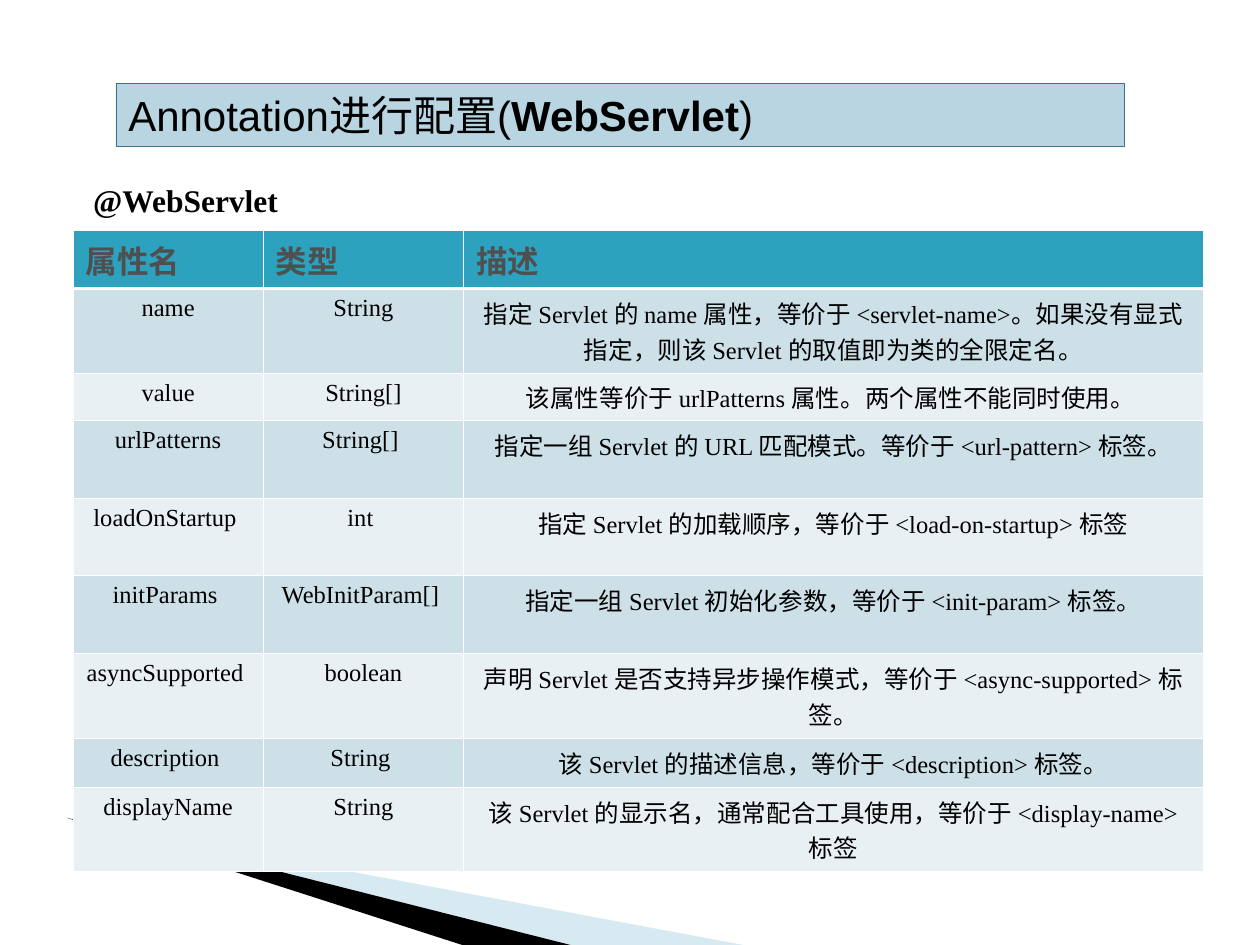
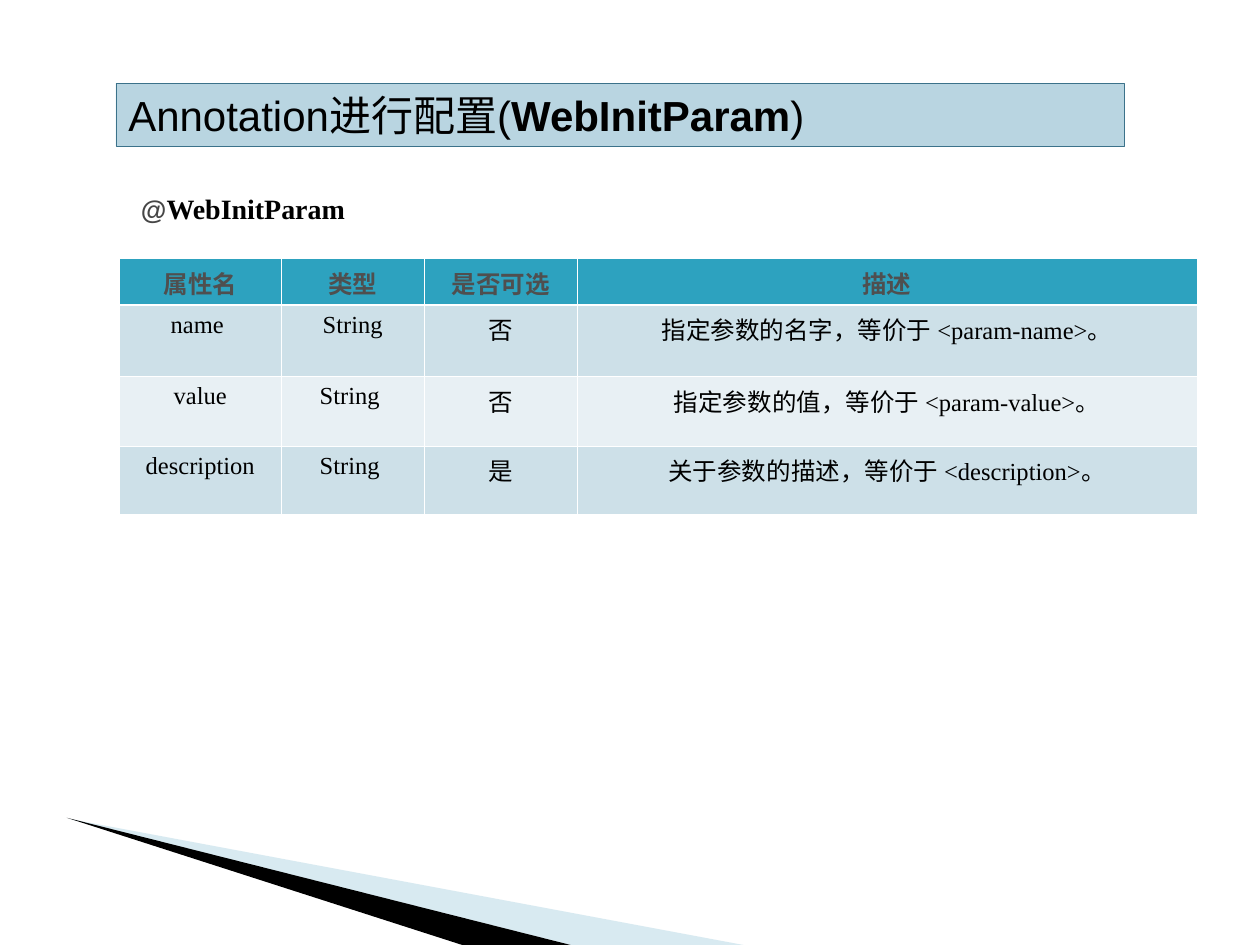
"""Two slides that list the attributes of the WebServlet and WebInitParam annotations."""
from lxml import etree
from pptx import Presentation
from pptx.dml.color import RGBColor
from pptx.enum.shapes import MSO_SHAPE
from pptx.enum.text import MSO_ANCHOR, PP_ALIGN
from pptx.oxml.ns import qn
from pptx.util import Inches, Pt

RECT = MSO_SHAPE.RECTANGLE
MIDDLE = MSO_ANCHOR.MIDDLE
LEFT, CENTER = PP_ALIGN.LEFT, PP_ALIGN.CENTER

BLACK = RGBColor(0x00, 0x00, 0x00)
WHITE = RGBColor(0xFF, 0xFF, 0xFF)
GREY = RGBColor(0x46, 0x46, 0x46)
HEAD_INK = RGBColor(0x4F, 0x4F, 0x4F)
HEAD = RGBColor(0x2D, 0xA2, 0xBF)
BANDS = [RGBColor(0xE8, 0xF0, 0xF4), RGBColor(0xCD, 0xE0, 0xE8)]
TITLE = RGBColor(0xB9, 0xD5, 0xE1)
EDGE = RGBColor(0x3B, 0x72, 0x8A)
PALE = RGBColor(0x9F, 0xCB, 0xDC)
SANS, SERIF = "Arial", "Times New Roman"

WEDGES = [
    (PALE, 40, [(0.55, 6.5), (5.9, 7.5), (4.53, 7.5)]),
    (BLACK, 100, [(0.53, 6.49), (4.53, 7.5), (3.67, 7.5)]),
]

PAGES = [
    {
        "name": "WebServlet",
        "label": (0.64, 1.42, 8.19, 0.39),
        "runs": [("@WebServlet", {"size": 18})],
        "place": (0.58, 1.83),
        "cols": [1.51, 1.59, 5.87],
        "heights": [0.46, 0.67, 0.38, 0.62, 0.61, 0.62, 0.67, 0.39, 0.67],
        "head": {"size": 18, "align": LEFT},
        "rows": [
            ("属性名", "类型", "描述"),
            ("name", "String",
             "指定 Servlet 的 name 属性，等价于 <servlet-name>。如果没有显式指定，则该 Servlet 的取值即为类的全限定名。"),
            ("value", "String[]", "该属性等价于 urlPatterns 属性。两个属性不能同时使用。 "),
            ("urlPatterns", "String[] ", "指定一组 Servlet 的 URL 匹配模式。等价于 <url-pattern> 标签。"),
            ("loadOnStartup ", "int ", "指定 Servlet 的加载顺序，等价于 <load-on-startup> 标签"),
            ("initParams ", "WebInitParam[] ", "指定一组 Servlet 初始化参数，等价于 <init-param> 标签。"),
            ("asyncSupported ", "boolean", "声明 Servlet 是否支持异步操作模式，等价于 <async-supported> 标签。"),
            ("description ", "String ", "该 Servlet 的描述信息，等价于 <description> 标签。"),
            ("displayName", "String", "该 Servlet 的显示名，通常配合工具使用，等价于 <display-name> 标签"),
        ],
    },
    {
        "name": "WebInitParam",
        "label": (1.02, 1.5, 2.01, 0.36),
        "runs": [("@", {"size": 15, "font": SANS, "color": GREY}), ("WebInitParam", {"size": 16})],
        "place": (0.95, 2.05),
        "cols": [1.28, 1.14, 1.21, 4.92],
        "heights": [0.37, 0.57, 0.55, 0.54],
        "head": {"size": 14, "align": CENTER},
        "rows": [
            ("属性名", "类型", "是否可选", "描述"),
            ("name ", "String", "否", "指定参数的名字，等价于 <param-name>。"),
            ("value", "String ", "否", "指定参数的值，等价于 <param-value>。"),
            ("description", "String ", "是", "关于参数的描述，等价于 <description>。"),
        ],
    },
]


def write(frame, text, size=14, font=SERIF, color=BLACK, bold=False, align=LEFT):
    para = frame.paragraphs[0]
    para.alignment = align
    run = para.add_run()
    run.text = text
    run.font.size = Pt(size)
    run.font.name = font
    run.font.bold = bold
    run.font.color.rgb = color


def border(cell, side, width):
    line = etree.SubElement(cell._tc.get_or_add_tcPr(), qn(f"a:ln{side}"), w=str(Pt(width)))
    fill = etree.SubElement(line, qn("a:solidFill"))
    etree.SubElement(fill, qn("a:srgbClr"), val=str(WHITE))


deck = Presentation()
deck.slide_width, deck.slide_height = Inches(10), Inches(7.5)

for page in PAGES:
    slide = deck.slides.add_slide(deck.slide_layouts[6])
    shapes = slide.shapes

    for color, alpha, points in WEDGES:
        spots = [(Inches(x), Inches(y)) for x, y in points]
        pen = shapes.build_freeform(*spots[0])
        pen.add_line_segments(spots[1:], close=True)
        wedge = pen.convert_to_shape()
        wedge.shadow.inherit = False
        wedge.line.fill.background()
        wedge.fill.solid()
        wedge.fill.fore_color.rgb = color
        if alpha < 100:
            tint = wedge._element.spPr.find(qn("a:solidFill"))[0]
            etree.SubElement(tint, qn("a:alpha"), val=str(alpha * 1000))

    label = shapes.add_textbox(*map(Inches, page["label"])).text_frame
    label.word_wrap = True
    label.paragraphs[0].line_spacing = 0.9
    for text, style in page["runs"]:
        write(label, text, bold=True, **style)

    cols, heights, rows = page["cols"], page["heights"], page["rows"]
    left, top = page["place"]
    table = shapes.add_table(len(rows), len(cols), Inches(left), Inches(top),
                             Inches(sum(cols)), Inches(sum(heights))).table
    for col, width in zip(table.columns, cols):
        col.width = Inches(width)
    for i, (row, height) in enumerate(zip(table.rows, heights)):
        row.height = Inches(height)
        for cell, text in zip(row.cells, rows[i]):
            for side in "LRTB":
                thick = (i, side) in [(0, "B"), (1, "T")]
                border(cell, side, 1.47 if thick else 0.45)
            cell.fill.solid()
            cell.fill.fore_color.rgb = BANDS[i % 2] if i else HEAD
            if i:
                write(cell.text_frame, text, align=CENTER)
            else:
                write(cell.text_frame, text, color=HEAD_INK, bold=True, **page["head"])

    title = shapes.add_shape(RECT, Inches(0.92), Inches(0.66), Inches(8), Inches(0.5))
    title.shadow.inherit = False
    title.fill.solid()
    title.fill.fore_color.rgb = TITLE
    title.line.color.rgb = EDGE
    title.line.width = Pt(0.25)
    title.text_frame.vertical_anchor = MIDDLE
    for text, bold in [("Annotation进行配置(", False), (page["name"], True), (")", False)]:
        write(title.text_frame, text, size=24, font=SANS, bold=bold)

deck.save("out.pptx")
